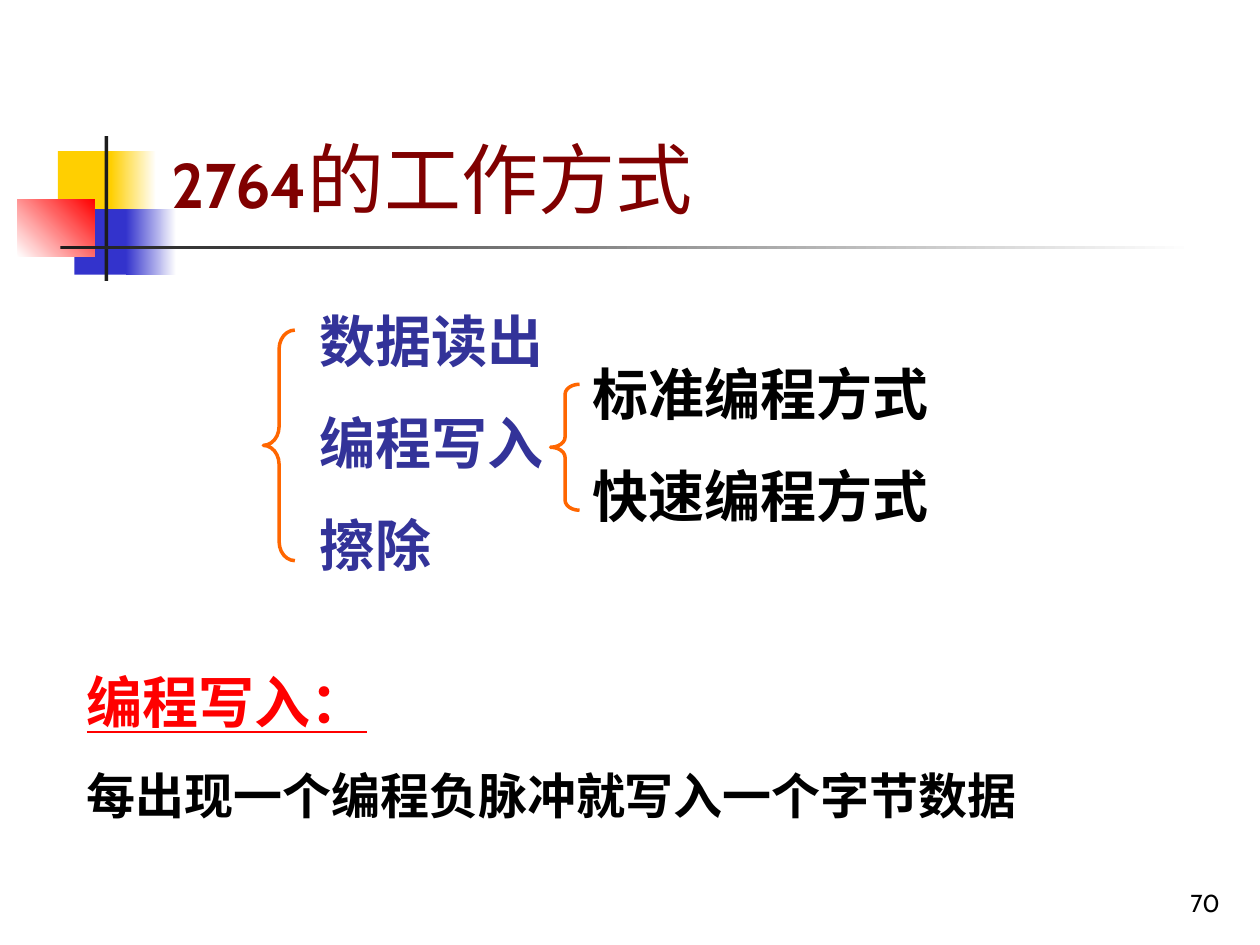
from pptx import Presentation
from pptx.dml.color import RGBColor
from pptx.enum.shapes import MSO_SHAPE
from pptx.enum.text import MSO_ANCHOR, PP_ALIGN
from pptx.util import Inches, Pt

RECTANGLE = MSO_SHAPE.RECTANGLE
LEFT_BRACE = MSO_SHAPE.LEFT_BRACE
BOTTOM = MSO_ANCHOR.BOTTOM
LEFT, RIGHT = PP_ALIGN.LEFT, PP_ALIGN.RIGHT

LATIN, SERIF = "Cabin", "Times New Roman"
WHITE, BLACK, DARK = "FFFFFF", "000000", "1C1C1C"
YELLOW, BLUE, RED = "FFCF01", "3333CC", "FF0000"
MAROON, INDIGO, ORANGE = "800000", "333399", "FF6600"

ORNAMENTS = [
    ((0.46, 1.2, 0.48, 0.52), [YELLOW], 0),
    ((0.88, 1.2, 0.36, 0.52), [YELLOW, WHITE], 0),
    ((0.59, 1.66, 0.46, 0.52), [BLUE], 0),
    ((1, 1.66, 0.4, 0.52), [BLUE, WHITE], 0),
    ((0.14, 1.58, 0.61, 0.46), [WHITE, RED], 45),
    ((0.83, 1.08, 0.03, 1.15), [DARK], 0),
    ((0.48, 1.95, 9, 0.03), [DARK, WHITE], 0),
]
TITLE = [("2764", 36, True), ("的工作方式", 44, False)]
MODES = ["数据读出", "编程写入", "擦除"]
WRITE_MODES = ["标准编程方式", "快速编程方式"]
TEXTS = [
    ((2.44, 2.38, 2.25, 2.26), [(mode, 32, INDIGO, False) for mode in MODES]),
    ((4.6, 2.8, 2.92, 1.45), [(mode, 32, BLACK, False) for mode in WRITE_MODES]),
    ((0.59, 5.25, 8.75, 1.35), [
        ("编程写入：", 32, RED, True),
        ("每出现一个编程负脉冲就写入一个字节数据", 28, BLACK, False),
    ]),
]
BRACES = [((2.09, 2.62, 0.25, 1.83), 0.6), ((4.37, 3.05, 0.23, 1), 0.35)]
PAGE_NUMBER = "70"


def color(value):
    return RGBColor.from_string(value)


def place(frame):
    return [Inches(length) for length in frame]


def style(font, name, size, value, bold=False, underline=False):
    font.name, font.size, font.bold = name, Pt(size), bold
    font.underline = underline
    font.color.rgb = color(value)


def add_ornament(page, frame, colors, angle):
    shape = page.shapes.add_shape(RECTANGLE, *place(frame))
    shape.shadow.inherit = False
    shape.line.fill.background()
    if len(colors) == 1:
        shape.fill.solid()
        shape.fill.fore_color.rgb = color(colors[0])
        return
    shape.fill.gradient()
    shape.fill.gradient_angle = angle
    for stop, value, position in zip(shape.fill.gradient_stops, colors, (0, 1)):
        stop.color.rgb = color(value)
        stop.position = position


def add_brace(page, frame, curve):
    brace = page.shapes.add_shape(LEFT_BRACE, *place(frame))
    brace.shadow.inherit = False
    brace.adjustments[0] = curve
    brace.fill.background()
    brace.line.color.rgb = color(ORANGE)
    brace.line.width = Pt(2)


def add_text(page, frame, lines):
    box = page.shapes.add_textbox(*place(frame))
    text_frame = box.text_frame
    text_frame.word_wrap = True
    text_frame.text = "\n".join(line[0] for line in lines)
    for index, (para, line) in enumerate(zip(text_frame.paragraphs, lines)):
        _, size, value, underline = line
        if index:
            para.space_before = Pt(size * 0.625)
        style(para.runs[0].font, SERIF, size, value, True, underline)


def fill_title(title):
    title.left, title.top, title.width, title.height = place((1.26, 0.23, 8.52, 1.6))
    title.text_frame.vertical_anchor = BOTTOM
    para = title.text_frame.paragraphs[0]
    para.alignment = LEFT
    for text, size, bold in TITLE:
        span = para.add_run()
        span.text = text
        style(span.font, LATIN, size, MAROON, bold)


def add_page_number(page):
    box = page.shapes.add_textbox(*place((7.7, 6.83, 2.08, 0.5)))
    box.text_frame.word_wrap = True
    box.text_frame.vertical_anchor = BOTTOM
    box.text_frame.text = PAGE_NUMBER
    para = box.text_frame.paragraphs[0]
    para.alignment = RIGHT
    style(para.runs[0].font, LATIN, 14, BLACK)


def main():
    deck = Presentation()
    deck.slide_width, deck.slide_height = Inches(10), Inches(7.5)
    page = deck.slides.add_slide(deck.slide_layouts[5])
    for ornament in ORNAMENTS:
        add_ornament(page, *ornament)
    add_page_number(page)
    fill_title(page.shapes.title)
    for frame, lines in TEXTS:
        add_text(page, frame, lines)
    for frame, curve in BRACES:
        add_brace(page, frame, curve)
    deck.save("out.pptx")


if __name__ == "__main__":
    main()
